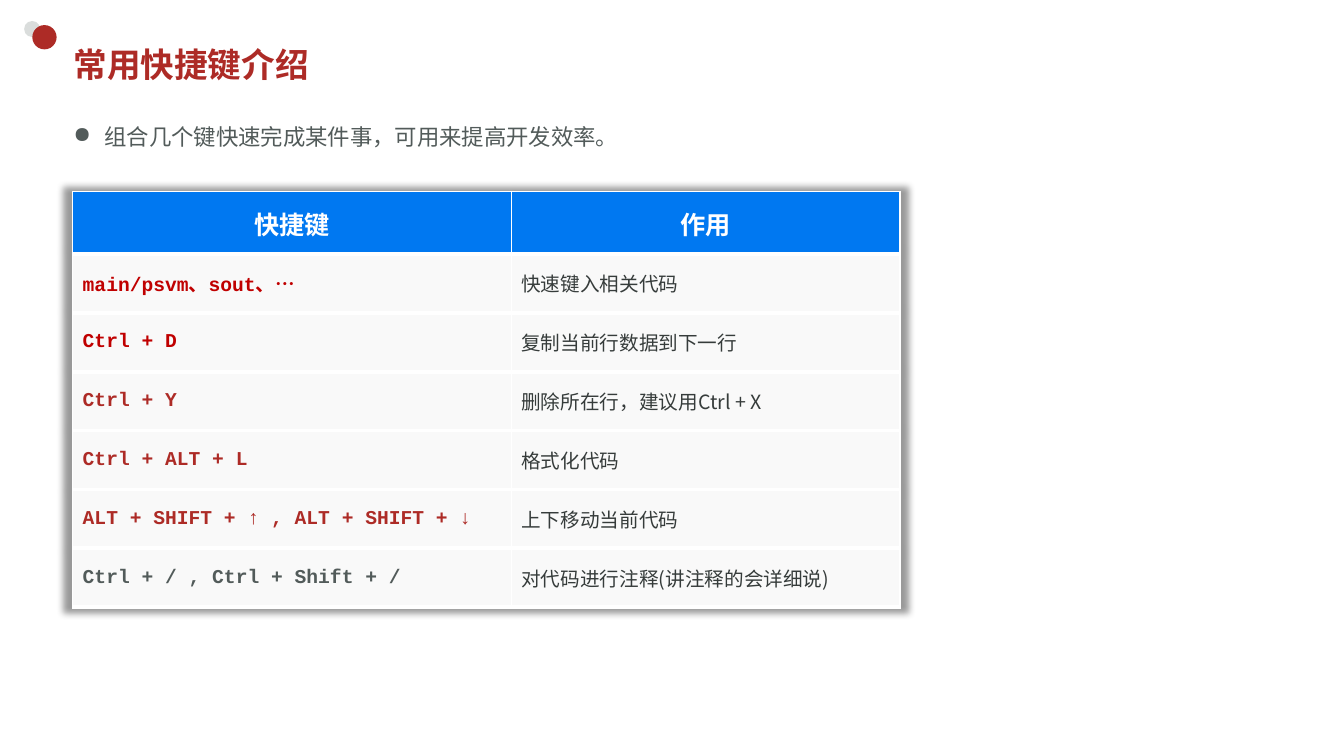
from dataclasses import dataclass

from lxml import etree
from pptx import Presentation
from pptx import util as u
from pptx.dml.color import RGBColor
from pptx.enum import shapes, text
from pptx.oxml import parse_xml
from pptx.oxml.ns import nsdecls, qn


@dataclass(frozen=True)
class Theme:
    """Colours, fonts and type sizes of the deck."""
    brand: str = "AD2B26"
    key: str = "C00000"
    pale: str = "DADDDC"
    muted: str = "525B5A"
    ink: str = "363C3B"
    header: str = "0078F1"
    row: str = "F9F9F9"
    white: str = "FFFFFF"
    mono: str = "Courier New"
    heading: str = "Lato"
    body: str = "Noto Sans CJK SC"
    lead: str = "Noto Sans CJK JP"
    title_size: int = 24
    header_size: int = 18
    lead_size: int = 16
    cell_size: int = 14


THEME = Theme()
COLUMNS, ROWS = 64, 36
WIDTH, HEIGHT = u.Inches(13.33), u.Inches(7.5)

SHORTCUTS = [
    ("main/psvm、sout、…", "快速键入相关代码", THEME.key),
    ("Ctrl + D", "复制当前行数据到下一行", THEME.key),
    ("Ctrl + Y", "删除所在行，建议用Ctrl + X", THEME.brand),
    ("Ctrl + ALT + L", "格式化代码", THEME.brand),
    ("ALT + SHIFT + ↑ , ALT + SHIFT + ↓", "上下移动当前代码", THEME.brand),
    ("Ctrl + / , Ctrl + Shift + /", "对代码进行注释(讲注释的会详细说)", THEME.muted),
]


def grid(left, top, width, height):
    """Turn grid columns and rows into slide lengths."""
    across, down = WIDTH / COLUMNS, HEIGHT / ROWS
    return [u.Emu(round(length)) for length in
            (left * across, top * down, width * across, height * down)]


def add_span(para, words, font, size, color, bold=False):
    """Add one formatted run to a paragraph."""
    span = para.add_run()
    span.text = words
    span.font.name = font
    span.font.size = u.Pt(size)
    span.font.bold = bold
    span.font.color.rgb = RGBColor.from_string(color)
    east = THEME.body if font == THEME.mono else font
    latin = span.font._element.find(qn("a:latin"))
    latin.addnext(parse_xml(f'<a:ea {nsdecls("a")} typeface="{east}"/>'))


def add_dots(page, box):
    """Draw the two overlapping corner dots within a box."""
    left, top, side = box
    dots = [(0, 0, 0.47, THEME.pale), (0.24, 0.12, 0.71, THEME.brand)]
    for across, down, share, color in dots:
        dot = page.shapes.add_shape(
            shapes.MSO_SHAPE.OVAL,
            *grid(left + across * side, top + down * side, share * side, share * side))
        dot.shadow.inherit = False
        dot.fill.solid()
        dot.fill.fore_color.rgb = RGBColor.from_string(color)
        dot.line.fill.background()


def add_title(page, box, words):
    """Place and fill the title placeholder."""
    title = page.shapes.title
    title.left, title.top, title.width, title.height = grid(*box)
    frame = title.text_frame
    frame.auto_size = text.MSO_AUTO_SIZE.NONE
    frame.vertical_anchor = text.MSO_ANCHOR.MIDDLE
    para = frame.paragraphs[0]
    para.alignment = text.PP_ALIGN.LEFT
    add_span(para, words, THEME.mono, THEME.title_size, THEME.brand, True)


def add_lead(page, box, words):
    """Write the bulleted lead sentence."""
    frame = page.shapes.add_textbox(*grid(*box)).text_frame
    frame.word_wrap = False
    frame.auto_size = text.MSO_AUTO_SIZE.SHAPE_TO_FIT_TEXT
    para = frame.paragraphs[0]
    settings = para._p.get_or_add_pPr()
    indent = u.Inches(0.31)
    settings.set("marL", str(indent))
    settings.set("indent", str(-indent))
    etree.SubElement(settings, qn("a:buChar")).set("char", "●")
    add_span(para, words, THEME.lead, THEME.lead_size, THEME.muted)


def style_cell(cell, fill, top_width):
    """Fill a cell, centre it vertically and rule its four sides."""
    cell.fill.solid()
    cell.fill.fore_color.rgb = RGBColor.from_string(fill)
    cell.vertical_anchor = text.MSO_ANCHOR.MIDDLE
    settings = cell._tc.get_or_add_tcPr()
    for index, (side, width) in enumerate(zip("LRTB", (1, 1, top_width, 3))):
        settings.insert(index, parse_xml(
            f'<a:ln{side} {nsdecls("a")} w="{u.Pt(width)}"><a:solidFill>'
            f'<a:srgbClr val="{THEME.white}"/></a:solidFill></a:ln{side}>'))


def add_table_shadow(table):
    """Give the table a soft shadow on every side."""
    table._tbl.tblPr.insert(0, parse_xml(
        f'<a:effectLst {nsdecls("a")}><a:outerShdw blurRad="63500" sx="102000" '
        'sy="102000" algn="ctr" rotWithShape="0"><a:prstClr val="black">'
        '<a:alpha val="40000"/></a:prstClr></a:outerShdw></a:effectLst>'))


def add_shortcuts(page, box, headings, shortcuts):
    """Build the shortcut table within a box."""
    left, top, width, height = grid(*box)
    table = page.shapes.add_table(
        len(shortcuts) + 1, len(headings), left, top, width, height).table
    for column, share in zip(table.columns, (0.53, 0.47)):
        column.width = round(width * share)
    head_height = round(height * 0.15)
    for row in table.rows:
        row.height = (height - head_height) // len(shortcuts)
    table.rows[0].height = head_height
    add_table_shadow(table)

    for column, words in enumerate(headings):
        cell = table.cell(0, column)
        style_cell(cell, THEME.header, 1)
        para = cell.text_frame.paragraphs[0]
        para.alignment = text.PP_ALIGN.CENTER
        para.line_spacing = u.Pt(24)
        add_span(para, words, THEME.heading, THEME.header_size, THEME.white, True)

    for row, (keys, purpose, color) in enumerate(shortcuts, 1):
        spans = [(keys, THEME.mono, color, True), (purpose, THEME.body, THEME.ink, False)]
        for column, (words, font, tint, bold) in enumerate(spans):
            cell = table.cell(row, column)
            style_cell(cell, THEME.row, 3)
            add_span(cell.text_frame.paragraphs[0], words, font,
                     THEME.cell_size, tint, bold)


def build_shortcut_page(deck):
    """Compose the keyboard shortcut slide."""
    page = deck.slides.add_slide(deck.slide_layouts[5])
    add_dots(page, (1.15, 1, 1.63))
    add_title(page, (3.02, 1.78, 56.4, 2.5), "常用快捷键介绍")
    add_shortcuts(page, (3.46, 9.12, 39.4, 19.8), ("快捷键", "作用"), SHORTCUTS)
    add_lead(page, (3.02, 5.62, 26.9, 1.78),
             "组合几个键快速完成某件事，可用来提高开发效率。")


def main():
    """Create and save the deck."""
    deck = Presentation()
    deck.slide_width, deck.slide_height = WIDTH, HEIGHT
    build_shortcut_page(deck)
    deck.save("out.pptx")


if __name__ == "__main__":
    main()
